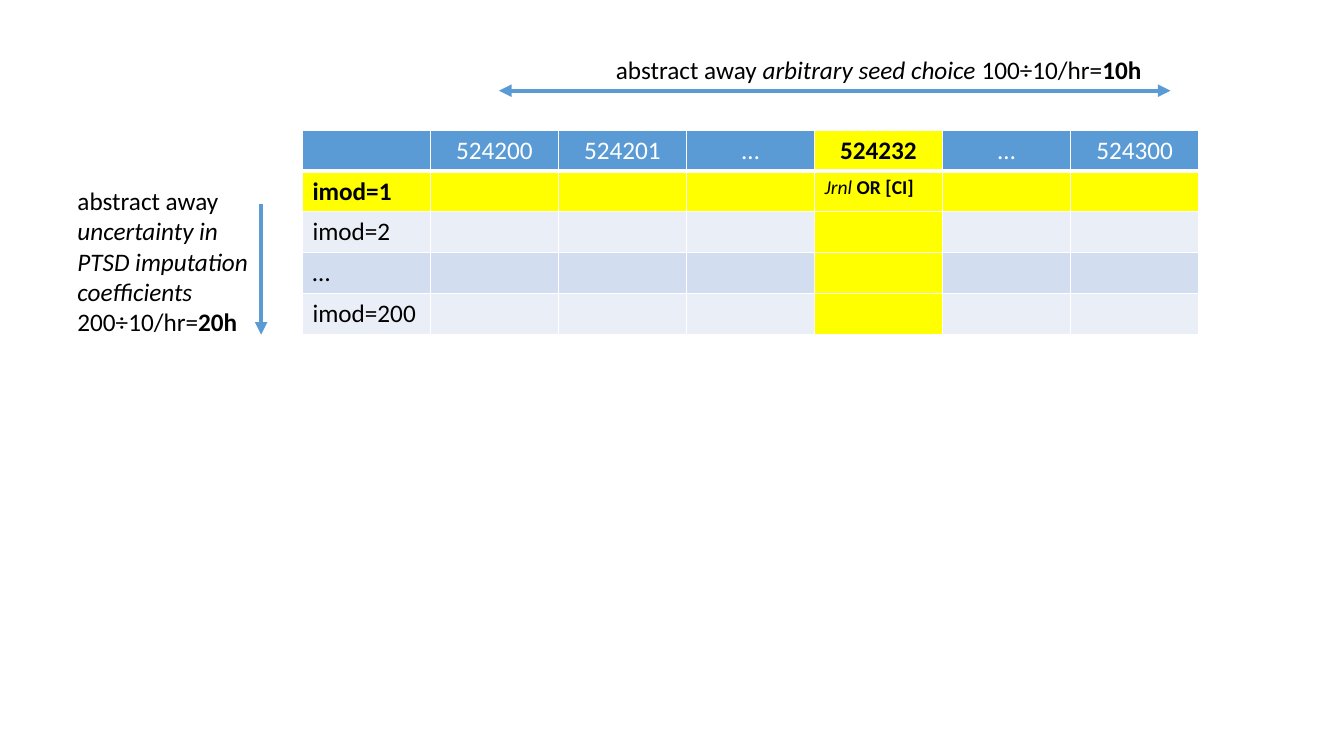
import pptx
import pptx.util
import pptx.dml.color
import pptx.enum.shapes
import pptx.enum.text
import pptx.oxml
import pptx.oxml.ns
import lxml.etree

Inches = pptx.util.Inches
COLORS = {"blue": "5B9BD5", "yellow": "FFFF00", "pale": "EAEFF7",
          "mid": "D2DEEF", "white": "FFFFFF", "black": "000000"}
PLAIN, ITALIC, BOLD = {}, {"italic": True}, {"bold": True}
SEEDS = ["", "524200", "524201", "…", "524232", "…", "524300"]
IMPUTATIONS = ["imod=1", "imod=2", "…", "imod=200"]
CHOSEN_SEED, CHOSEN_IMPUTATION = 4, 1


def rgb(name):
    return pptx.dml.color.RGBColor.from_string(COLORS[name])


def write(paragraph, pieces, color="black", points=18):
    for words, emphasis in pieces:
        for number, line in enumerate(words.split("\n")):
            if number:
                paragraph.add_line_break()
            if not line:
                continue
            run = paragraph.add_run()
            run.text = line
            style = {"name": "Calibri", "size": pptx.util.Pt(points),
                     "bold": False, "italic": False, **emphasis}
            for key, value in style.items():
                setattr(run.font, key, value)
            run.font.color.rgb = rgb(color)


def add_caption(slide, box, paragraphs):
    frame = slide.shapes.add_textbox(*map(Inches, box)).text_frame
    layout = {"word_wrap": False,
              "auto_size": pptx.enum.text.MSO_AUTO_SIZE.SHAPE_TO_FIT_TEXT}
    for key, value in layout.items():
        setattr(frame, key, value)
    for number, pieces in enumerate(paragraphs):
        paragraph = frame.add_paragraph() if number else frame.paragraphs[0]
        write(paragraph, pieces)


def add_arrow(slide, start, end, arrowheads):
    arrow = slide.shapes.add_connector(
        pptx.enum.shapes.MSO_CONNECTOR.STRAIGHT, *map(Inches, start + end))
    arrow.line.color.rgb = rgb("blue")
    arrow.line.width = pptx.util.Pt(3)
    properties = arrow._element.spPr
    outline = properties.find(pptx.oxml.ns.qn("a:ln"))
    for tag in arrowheads:
        lxml.etree.SubElement(outline, pptx.oxml.ns.qn(tag), type="triangle")
    lxml.etree.SubElement(properties, pptx.oxml.ns.qn("a:effectLst"))


def add_borders(cell, bottom):
    properties = cell._tc.get_or_add_tcPr()
    widths = {"lnL": 1, "lnR": 1, "lnT": 1, "lnB": bottom}
    for position, (side, points) in enumerate(widths.items()):
        properties.insert(position, pptx.oxml.parse_xml(
            f'<a:{side} {pptx.oxml.ns.nsdecls("a")} w="{pptx.util.Pt(points)}">'
            f'<a:solidFill><a:srgbClr val="{COLORS["white"]}"/></a:solidFill>'
            f'</a:{side}>'))


def cell_fill(row, column):
    if column == CHOSEN_SEED or row == CHOSEN_IMPUTATION:
        return "yellow"
    if row == 0:
        return "blue"
    return "mid" if row % 2 else "pale"


def add_seed_grid(slide, box):
    row_count, column_count = len(IMPUTATIONS) + 1, len(SEEDS)
    grid = slide.shapes.add_table(
        row_count, column_count, *map(Inches, box)).table
    for column in grid.columns:
        column.width = Inches(box[2] / column_count)
    for row in grid.rows:
        row.height = Inches(box[3] / row_count)
    for row in range(row_count):
        for column in range(column_count):
            cell = grid.cell(row, column)
            cell.fill.solid()
            cell.fill.fore_color.rgb = rgb(cell_fill(row, column))
            add_borders(cell, 1 if row else 3)
    for column, seed in enumerate(SEEDS):
        heading = grid.cell(0, column).text_frame.paragraphs[0]
        heading.alignment = pptx.enum.text.PP_ALIGN.CENTER
        chosen = column == CHOSEN_SEED
        write(heading, [(seed, BOLD if chosen else PLAIN)],
              "black" if chosen else "white")
    for row, imputation in enumerate(IMPUTATIONS, 1):
        write(grid.cell(row, 0).text_frame.paragraphs[0],
              [(imputation, BOLD if row == CHOSEN_IMPUTATION else PLAIN)])
    result = grid.cell(CHOSEN_IMPUTATION, CHOSEN_SEED)
    write(result.text_frame.paragraphs[0],
          [("Jrnl ", ITALIC), ("OR [CI]", BOLD)], points=14)


def add_seed_axis(slide, left, top, width):
    add_arrow(slide, (left, top + 0.41), (left + width, top + 0.41),
              ["a:headEnd", "a:tailEnd"])
    add_caption(slide, (left + 1.06, top, 5.48, 0.4), [
        [("abstract away ", PLAIN), ("arbitrary seed choice ", ITALIC),
         ("100÷10/hr=", PLAIN), ("10h", BOLD)]])


def add_imputation_axis(slide, left, top, width, height):
    add_arrow(slide, (left + width, top + 0.23),
              (left + width, top + height - 0.09), ["a:tailEnd"])
    add_caption(slide, (left, top, width, height), [
        [("abstract away\n", PLAIN),
         ("uncertainty in\nPTSD imputation\ncoefficients", ITALIC)],
        [("200÷10/hr=", PLAIN), ("20h", BOLD)]])


deck = pptx.Presentation()
deck.slide_width, deck.slide_height = Inches(13.33), Inches(7.5)
seed_slide = deck.slides.add_slide(deck.slide_layouts[6])
add_seed_grid(seed_slide, (3, 1.29, 8.89, 2.03))
add_seed_axis(seed_slide, 4.95, 0.49, 6.66)
add_imputation_axis(seed_slide, 0.67, 1.79, 1.92, 1.62)
deck.save("out.pptx")
